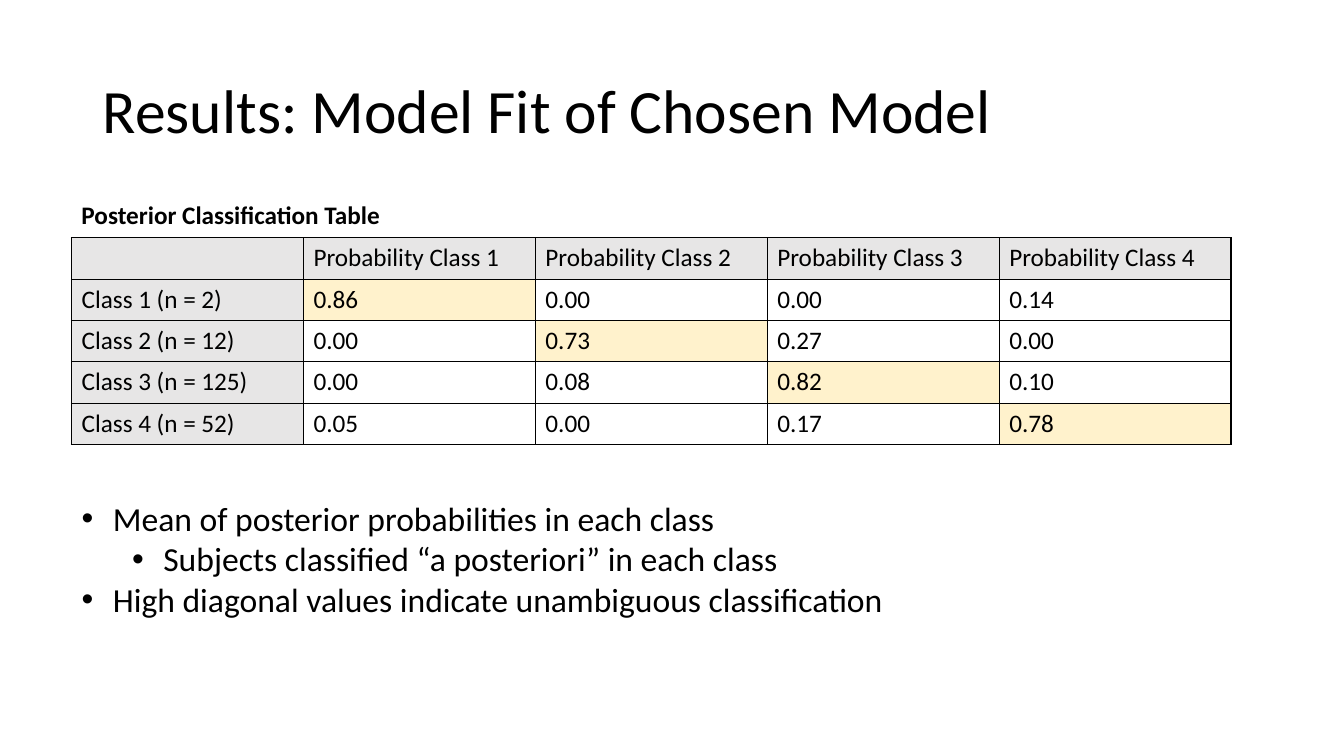
import pptx
import pptx.dml.color
import pptx.enum.text
import pptx.oxml.ns
import pptx.util
from lxml import etree

Inches = pptx.util.Inches
Pt = pptx.util.Pt
RGBColor = pptx.dml.color.RGBColor
qn = pptx.oxml.ns.qn

BLACK = RGBColor(0x00, 0x00, 0x00)
WHITE = RGBColor(0xFF, 0xFF, 0xFF)
HEADER_GRAY = RGBColor(0xE7, 0xE6, 0xE6)
DIAGONAL_YELLOW = RGBColor(0xFF, 0xF2, 0xCC)
FONT = "Calibri"
LEFT = 0.71
CONTENT_WIDTH = 11.5

CLASS_SIZES = [2, 12, 125, 52]
PROBABILITIES = [
    [0.86, 0.00, 0.00, 0.14],
    [0.00, 0.73, 0.27, 0.00],
    [0.00, 0.08, 0.82, 0.10],
    [0.05, 0.00, 0.17, 0.78],
]
FINDINGS = [
    (0, "Mean of posterior probabilities in each class"),
    (1, "Subjects classified “a posteriori” in each class"),
    (0, "High diagonal values indicate unambiguous classification"),
]


def write_text(paragraph, text, size=18, bold=False, color=BLACK, line_spacing=1.0):
    paragraph.alignment = pptx.enum.text.PP_ALIGN.LEFT
    paragraph.line_spacing = line_spacing
    paragraph.space_before = Pt(0)
    run = paragraph.add_run()
    run.text = text
    run.font.name = FONT
    run.font.size = Pt(size)
    run.font.bold = bold
    run.font.color.rgb = color


def place(shape, left, top, width, height):
    shape.left, shape.top = Inches(left), Inches(top)
    shape.width, shape.height = Inches(width), Inches(height)


def add_title(slide, text):
    title = slide.shapes.title
    place(title, 0.92, 0.4, CONTENT_WIDTH, 1.45)
    title.text_frame.vertical_anchor = pptx.enum.text.MSO_ANCHOR.MIDDLE
    write_text(title.text_frame.paragraphs[0], text, size=44, line_spacing=0.9)


def add_caption(slide, text):
    caption = slide.shapes.add_textbox(Inches(LEFT), Inches(1.93), Inches(4.81), Inches(0.4))
    caption.text_frame.word_wrap = True
    write_text(caption.text_frame.paragraphs[0], text, bold=True)


def set_borders(cell):
    properties = cell._tc.get_or_add_tcPr()
    for side in ("a:lnL", "a:lnR", "a:lnT", "a:lnB"):
        line = etree.SubElement(properties, qn(side), w=str(Pt(1)))
        fill = etree.SubElement(line, qn("a:solidFill"))
        etree.SubElement(fill, qn("a:srgbClr"), val=str(BLACK))


def cell_color(row, column):
    if row == 0 or column == 0:
        return HEADER_GRAY
    return DIAGONAL_YELLOW if row == column else WHITE


def add_classification_table(slide):
    header = [""] + [f"Probability Class {number}" for number in range(1, 5)]
    rows = [header]
    for number, (size, values) in enumerate(zip(CLASS_SIZES, PROBABILITIES), 1):
        rows.append([f"Class {number} (n = {size})"] + [f"{value:.2f}" for value in values])
    frame = slide.shapes.add_table(
        len(rows), len(header), Inches(LEFT), Inches(2.36),
        Inches(CONTENT_WIDTH), Inches(0.41 * len(rows)))
    table = frame.table
    table.first_row = False
    table.horz_banding = False
    for row, texts in enumerate(rows):
        for column, text in enumerate(texts):
            cell = table.cell(row, column)
            set_borders(cell)
            cell.fill.solid()
            cell.fill.fore_color.rgb = cell_color(row, column)
            if text:
                write_text(cell.text_frame.paragraphs[0], text)


def set_bullet(paragraph, level):
    paragraph.level = level
    properties = paragraph._p.get_or_add_pPr()
    properties.set("marL", str(Inches(0.31 + 0.5 * level)))
    properties.set("indent", str(Inches(-0.31)))
    etree.SubElement(properties, qn("a:buFont"), typeface="Arial")
    etree.SubElement(properties, qn("a:buChar"), char="•")


def add_findings(slide):
    body = slide.placeholders[1]
    place(body, LEFT, 4.89, CONTENT_WIDTH, 1.31)
    frame = body.text_frame
    frame.auto_size = pptx.enum.text.MSO_AUTO_SIZE.NONE
    for index, (level, text) in enumerate(FINDINGS):
        paragraph = frame.add_paragraph() if index else frame.paragraphs[0]
        write_text(paragraph, text, size=24)
        set_bullet(paragraph, level)


def main():
    presentation = pptx.Presentation()
    presentation.slide_width = Inches(13.33)
    presentation.slide_height = Inches(7.5)
    slide = presentation.slides.add_slide(presentation.slide_layouts[1])
    add_title(slide, "Results: Model Fit of Chosen Model")
    add_classification_table(slide)
    add_caption(slide, "Posterior Classification Table")
    add_findings(slide)
    presentation.save("out.pptx")


main()
